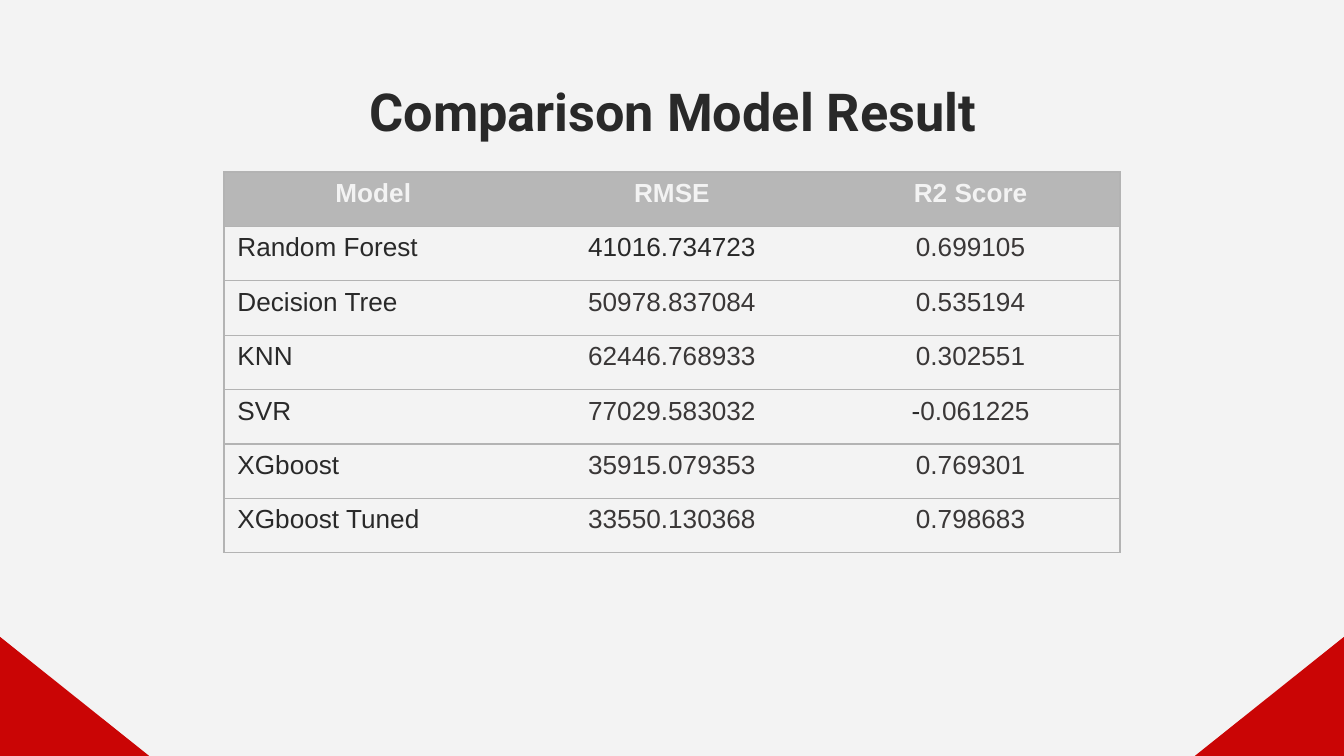
from dataclasses import dataclass

from lxml import etree
from pptx import Presentation
from pptx.dml.color import RGBColor
from pptx.enum.text import MSO_ANCHOR, PP_ALIGN
from pptx.oxml.ns import qn
from pptx.util import Inches, Pt

LEFT, MID = PP_ALIGN.LEFT, PP_ALIGN.CENTER
TOP = MSO_ANCHOR.TOP
WIDE, HIGH = 10, 5.625
COLS = 3

ROWS = [
    ("Model", "RMSE", "R2 Score"),
    ("Random Forest", "41016.734723", "0.699105"),
    ("Decision Tree", "50978.837084", "0.535194"),
    ("KNN", "62446.768933", "0.302551"),
    ("SVR", "77029.583032", "-0.061225"),
    ("XGboost", "35915.079353", "0.769301"),
    ("XGboost Tuned", "33550.130368", "0.798683"),
]


@dataclass(frozen=True)
class Theme:
    page: str = "F3F3F3"
    dark: str = "292929"
    soft: str = "3A3737"
    head: str = "B7B7B7"
    rule: str = "B3B3B3"
    red: str = "CA0505"
    title: float = 28
    body: float = 14
    line: float = 0.75
    display: str = "Roboto"
    text: str = "Arial"


THEME = Theme()


def rgb(code):
    return RGBColor.from_string(code)


def style(font, name, size, bold, color=None):
    font.name, font.size, font.bold = name, Pt(size), bold
    if color:
        font.color.rgb = rgb(color)


def corner(slide, edge, inner):
    top = HIGH * 0.8425
    pen = slide.shapes.build_freeform(Inches(edge), Inches(top))
    pen.add_line_segments(
        [(Inches(inner), Inches(HIGH)), (Inches(edge), Inches(HIGH))]
    )
    shape = pen.convert_to_shape()
    shape.shadow.inherit = False
    shape.fill.solid()
    shape.fill.fore_color.rgb = rgb(THEME.red)
    shape.line.fill.background()


def title(slide, words):
    box = slide.shapes.add_textbox(
        Inches(0.79), Inches(0.49), Inches(8.43), Inches(0.63)
    )
    frame = box.text_frame
    frame.word_wrap = True
    frame.vertical_anchor = TOP
    frame.margin_top = frame.margin_bottom = Inches(0.1)
    para = frame.paragraphs[0]
    para.text = words
    para.alignment = MID
    style(para.font, THEME.display, THEME.title, True, THEME.dark)


def border(cell, side, shown):
    line = etree.SubElement(cell._tc.get_or_add_tcPr(), qn("a:ln" + side))
    line.set("w", str(Pt(THEME.line)))
    if shown:
        fill = etree.SubElement(line, qn("a:solidFill"))
        etree.SubElement(fill, qn("a:srgbClr")).set("val", THEME.rule)
    else:
        etree.SubElement(line, qn("a:noFill"))


def shade(row, col):
    if row == 0:
        return THEME.page
    return THEME.dark if col == 0 or (row, col) == (1, 1) else THEME.soft


def write(cell, words, row, col):
    para = cell.text_frame.paragraphs[0]
    para.alignment = LEFT if row and col == 0 else MID
    style(para.font, THEME.text, THEME.body, row == 0)
    color = shade(row, col)
    parts = [(words, color)]
    if words.startswith("-"):
        parts = [("-", THEME.dark), (words[1:], color)]
    for part, tone in parts:
        run = para.add_run()
        run.text = part
        run.font.color.rgb = rgb(tone)


def grid(slide, rows):
    step = HIGH * 0.072
    table = slide.shapes.add_table(
        len(rows), COLS, Inches(WIDE / 6), Inches(1.28),
        Inches(WIDE * 2 / 3), Inches(step * len(rows)),
    ).table
    table.horz_banding = False
    for row, words in enumerate(rows):
        table.rows[row].height = Inches(step)
        for col, word in enumerate(words):
            cell = table.cell(row, col)
            sides = {"L": col == 0, "R": col == COLS - 1, "T": True, "B": True}
            for side, shown in sides.items():
                border(cell, side, shown)
            if row == 0:
                cell.fill.solid()
                cell.fill.fore_color.rgb = rgb(THEME.head)
            else:
                cell.fill.background()
            write(cell, word, row, col)


def main():
    deck = Presentation()
    deck.slide_width, deck.slide_height = Inches(WIDE), Inches(HIGH)
    slide = deck.slides.add_slide(deck.slide_layouts[6])
    slide.background.fill.solid()
    slide.background.fill.fore_color.rgb = rgb(THEME.page)
    reach = WIDE * 0.111
    corner(slide, 0, reach)
    corner(slide, WIDE, WIDE - reach)
    title(slide, "Comparison Model Result")
    grid(slide, ROWS)
    deck.save("out.pptx")


if __name__ == "__main__":
    main()
